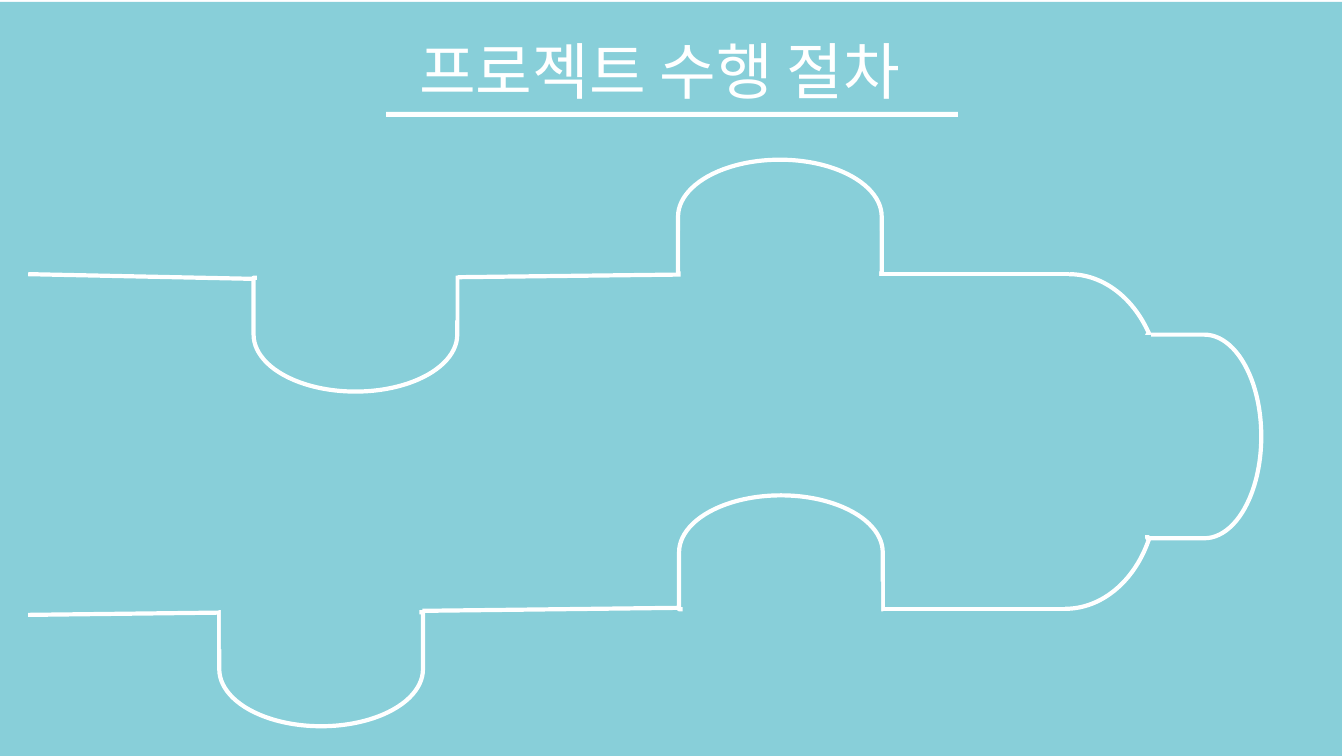
from dataclasses import dataclass

from lxml import etree
from pptx import Presentation
from pptx.dml.color import RGBColor
from pptx.enum.shapes import MSO_CONNECTOR, MSO_SHAPE
from pptx.enum.text import MSO_AUTO_SIZE, PP_ALIGN
from pptx.oxml.ns import qn
from pptx.util import Inches, Pt

RECTANGLE = MSO_SHAPE.RECTANGLE
ARC = MSO_SHAPE.ARC
DELAY = MSO_SHAPE.FLOWCHART_DELAY
STRAIGHT = MSO_CONNECTOR.STRAIGHT
CENTER = PP_ALIGN.CENTER
GROW = MSO_AUTO_SIZE.SHAPE_TO_FIT_TEXT

COLUMNS, ROWS = 13.33, 7.5
SLIDE_WIDTH, SLIDE_HEIGHT = Inches(COLUMNS), Inches(ROWS)
KNOB_DEPTH, KNOB_SPAN = 1.13, 2.02
COVER_WIDTH, COVER_HEIGHT = 1.97, 1.36
CORNER_WIDTH, CORNER_HEIGHT = 1.81, 2.29


@dataclass(frozen=True)
class Theme:
    background: RGBColor = RGBColor(0x88, 0xCF, 0xD9)
    outline: RGBColor = RGBColor(0xFF, 0xFF, 0xFF)
    font: str = "Noto Sans CJK KR"
    title_size: Pt = Pt(44)
    outline_width: Pt = Pt(3)
    seam_width: Pt = Pt(4.5)


THEME = Theme()


def across(columns):
    return round(SLIDE_WIDTH * columns / COLUMNS)


def down(rows):
    return round(SLIDE_HEIGHT * rows / ROWS)


def box(left, top, width, height):
    return across(left), down(top), across(width), down(height)


def add_block(slide, bounds, color):
    shape = slide.shapes.add_shape(RECTANGLE, *box(*bounds))
    shape.shadow.inherit = False
    shape.fill.solid()
    shape.fill.fore_color.rgb = color
    shape.line.fill.background()


def add_outlined(slide, kind, bounds, fill=None, rotation=0, flipped=False):
    shape = slide.shapes.add_shape(kind, *box(*bounds))
    shape.shadow.inherit = False
    if fill is None:
        shape.fill.background()
    else:
        shape.fill.solid()
        shape.fill.fore_color.rgb = fill
    shape.line.color.rgb = THEME.outline
    shape.line.width = THEME.outline_width
    shape.rotation = rotation
    if flipped:
        shape._element.spPr.find(qn("a:xfrm")).set("flipV", "1")


def add_corner(slide, left, top, flipped=False):
    bounds = (left, top, CORNER_WIDTH, CORNER_HEIGHT)
    add_outlined(slide, ARC, bounds, flipped=flipped)


def add_knob(slide, left, top, rotation, flipped):
    bounds = (left, top, KNOB_DEPTH, KNOB_SPAN)
    add_outlined(slide, DELAY, bounds, THEME.background, rotation, flipped)


def add_line(slide, start, end, color=THEME.outline, width=THEME.outline_width):
    connector = slide.shapes.add_connector(
        STRAIGHT, across(start[0]), down(start[1]), across(end[0]), down(end[1])
    )
    connector.line.color.rgb = color
    connector.line.width = width
    etree.SubElement(connector._element.spPr, qn("a:effectLst"))


def add_title(slide, text, bounds):
    frame = slide.shapes.add_textbox(*box(*bounds)).text_frame
    frame.word_wrap = True
    frame.auto_size = GROW
    paragraph = frame.paragraphs[0]
    paragraph.text = text
    paragraph.alignment = CENTER
    font = paragraph.font
    font.name = THEME.font
    font.size = THEME.title_size
    font.color.rgb = THEME.outline
    properties = paragraph._p.pPr.find(qn("a:defRPr"))
    etree.SubElement(properties, qn("a:ea")).set("typeface", THEME.font)


def main():
    presentation = Presentation()
    presentation.slide_width = SLIDE_WIDTH
    presentation.slide_height = SLIDE_HEIGHT
    slide = presentation.slides.add_slide(presentation.slide_layouts[6])

    add_block(slide, (-0.02, 0.02, COLUMNS, ROWS), THEME.background)
    add_block(slide, (3.83, 1.11, 5.67, 0.05), THEME.outline)
    add_title(slide, "프로젝트 수행 절차 ", (3.4, 0.28, 6.43, 0.84))

    for start, end in (
        ((0.28, 2.72), (2.67, 2.77)),
        ((4.54, 2.75), (7.09, 2.72)),
        ((8.62, 2.72), (10.6, 2.72)),
        ((8.58, 6.04), (10.57, 6.04)),
    ):
        add_line(slide, start, end)

    add_corner(slide, 9.7, 2.72)
    add_corner(slide, 9.66, 3.75, flipped=True)

    add_knob(slide, 2.96, 2.31, 90, False)
    add_knob(slide, 7.17, 1.14, 270, True)
    add_line(slide, (4.19, 6.06), (6.74, 6.03))
    add_knob(slide, 7.18, 4.47, 270, True)
    add_knob(slide, 2.62, 5.63, 90, False)
    add_line(slide, (0.28, 6.1), (2.83, 6.07))
    add_knob(slide, 11.38, 3.32, 0, True)

    for left, top in ((2.55, 1.82), (6.75, 2.29), (6.77, 5.77), (2.19, 5.08)):
        add_block(slide, (left, top, COVER_WIDTH, COVER_HEIGHT), THEME.background)
    add_line(slide, (11.38, 3.32), (11.38, 5.31), THEME.background, THEME.seam_width)

    presentation.save("out.pptx")


if __name__ == "__main__":
    main()
